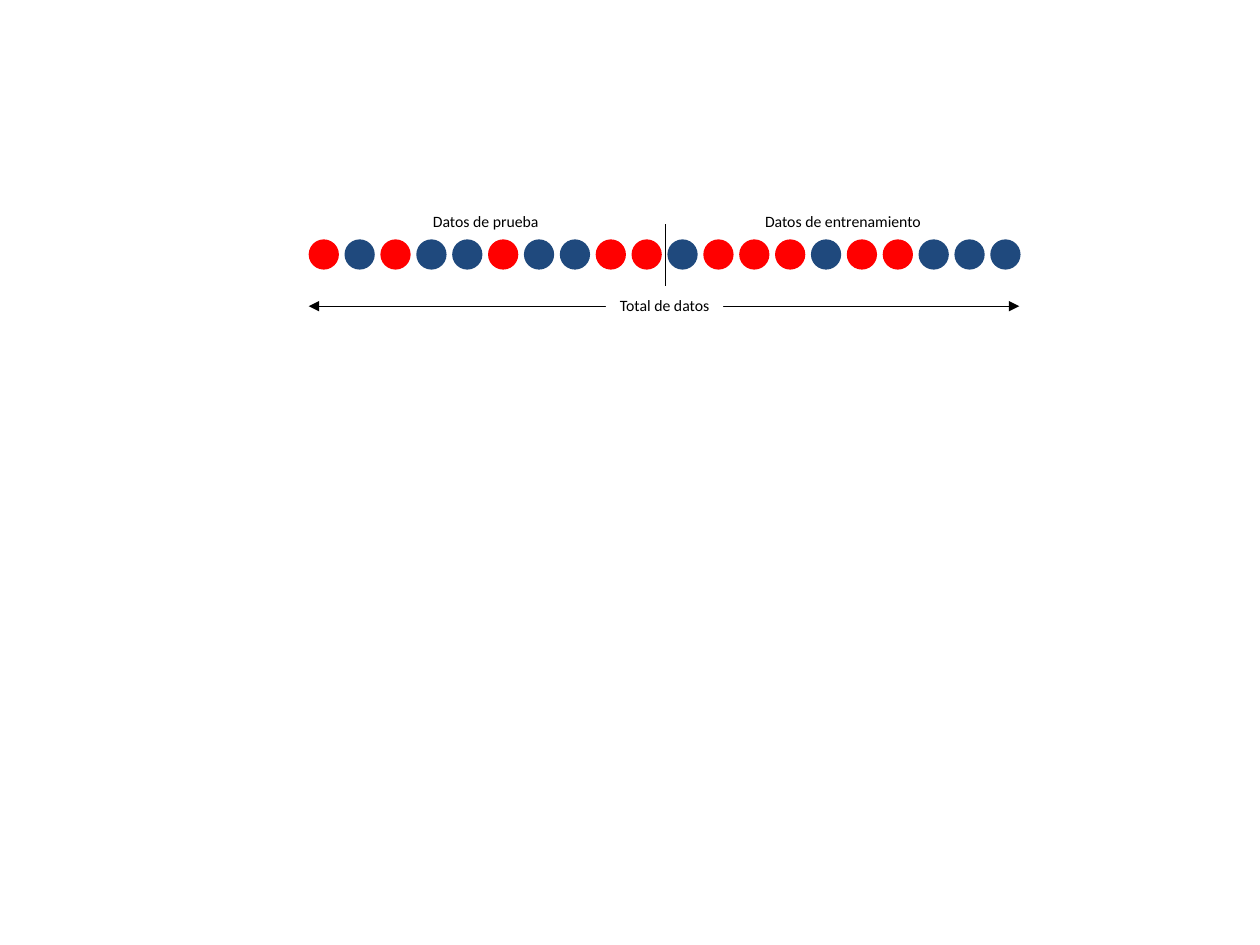
from typing import NamedTuple, Optional

from lxml import etree
from pptx import Presentation
from pptx.dml.color import RGBColor
from pptx.enum.shapes import MSO_CONNECTOR, MSO_SHAPE
from pptx.enum.text import MSO_AUTO_SIZE, PP_ALIGN
from pptx.oxml.ns import qn
from pptx.shapes.shapetree import GroupShapes
from pptx.util import Inches, Pt

OVAL = MSO_SHAPE.OVAL
STRAIGHT = MSO_CONNECTOR.STRAIGHT
CENTER = PP_ALIGN.CENTER
FIT_SHAPE = MSO_AUTO_SIZE.SHAPE_TO_FIT_TEXT

RED, BLUE, BLACK, WHITE = "FF0000", "1F497D", "000000", "FFFFFF"
DOT_COLORS = {"R": RED, "B": BLUE}
TEST_DATA = "RBRBBRBBRR"
TRAINING_DATA = "BRRRBRRBBB"
FIRST_LEFT, LAST_LEFT, DOT_TOP, DOT_SIZE = 2.45, 7.86, 1.9, 0.24


class Label(NamedTuple):
    text: str
    left: float
    top: float
    width: float
    fill: Optional[str] = None


class Line(NamedTuple):
    x1: float
    y1: float
    x2: float
    y2: float
    arrows: bool = False


LINES = [
    Line(5.28, 1.78, 5.28, 2.27),
    Line(2.45, 2.43, 8.09, 2.43, arrows=True),
]
LABELS = [
    Label("Datos de prueba", 3.33, 1.63, 1.05),
    Label("Datos de entrenamiento", 5.96, 1.63, 1.46),
    Label("Total de datos", 4.81, 2.3, 0.93, WHITE),
]


def rgb(color: str) -> RGBColor:
    """Turn a hex string into a colour."""
    return RGBColor.from_string(color)


def add_dots(shapes: GroupShapes, data: str) -> None:
    """Draw one row of evenly spaced dots."""
    pitch = (LAST_LEFT - FIRST_LEFT) / (len(data) - 1)
    for i, kind in enumerate(data):
        s = shapes.add_shape(OVAL, Inches(FIRST_LEFT + i * pitch), Inches(DOT_TOP),
                             Inches(DOT_SIZE), Inches(DOT_SIZE))
        s.shadow.inherit = False
        s.fill.solid()
        s.fill.fore_color.rgb = rgb(DOT_COLORS[kind])
        s.line.fill.background()


def add_line(shapes: GroupShapes, line: Line) -> None:
    """Draw a thin black line, with arrowheads at both ends if asked."""
    s = shapes.add_connector(STRAIGHT, Inches(line.x1), Inches(line.y1),
                             Inches(line.x2), Inches(line.y2))
    s.line.color.rgb = rgb(BLACK)
    s.line.width = Pt(0.5)
    if line.arrows:
        ln = s.line._get_or_add_ln()
        for end in ("a:headEnd", "a:tailEnd"):
            etree.SubElement(ln, qn(end), type="triangle")
    etree.SubElement(s._element.spPr, qn("a:effectLst"))


def add_label(shapes: GroupShapes, label: Label) -> None:
    """Write a centred caption on an optional fill."""
    s = shapes.add_textbox(Inches(label.left), Inches(label.top),
                           Inches(label.width), Inches(0.25))
    if label.fill:
        s.fill.solid()
        s.fill.fore_color.rgb = rgb(label.fill)
    tf = s.text_frame
    tf.word_wrap = False
    tf.auto_size = FIT_SHAPE
    p = tf.paragraphs[0]
    p.text = label.text
    p.alignment = CENTER
    p.font.name = "Calibri"
    p.font.size = Pt(9)
    p.font.color.rgb = rgb(BLACK)


def main() -> None:
    """Build the data split diagram."""
    prs = Presentation()
    prs.slide_width, prs.slide_height = Inches(10), Inches(7.5)
    slide = prs.slides.add_slide(prs.slide_layouts[6])
    shapes = slide.shapes.add_group_shape().shapes
    add_dots(shapes, TEST_DATA + TRAINING_DATA)
    for line in LINES:
        add_line(shapes, line)
    for label in LABELS:
        add_label(shapes, label)
    prs.save("out.pptx")


main()
